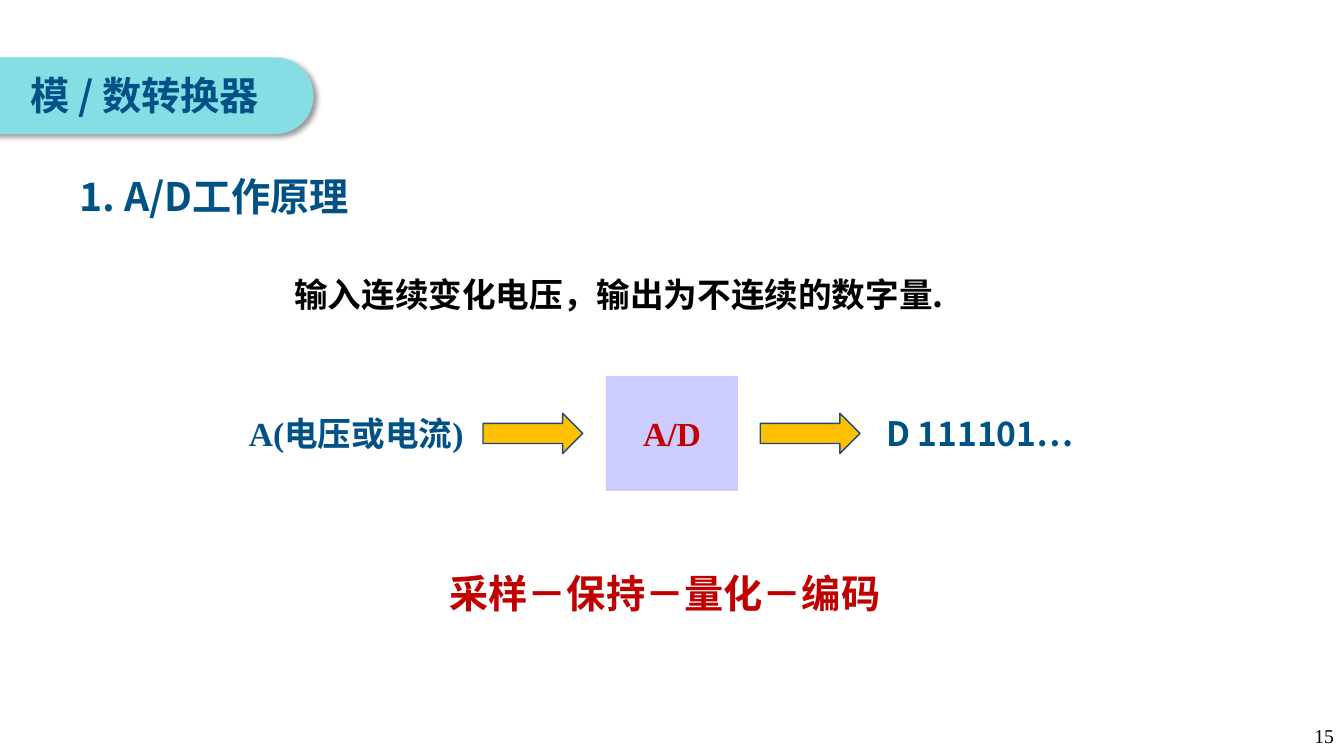
import pptx
import pptx.dml.color
import pptx.enum.shapes
import pptx.enum.text
import pptx.oxml
import pptx.oxml.ns
import pptx.util

PX = 9144
SLIDE_SIZE = (1333, 750)

THEME = {
    "navy": "005286", "red": "C00000", "black": "000000",
    "lilac": "CCCCFF", "aqua": "86DEE5", "amber": "FFC000", "outline": "1F497D",
    "title": 28, "body": 24, "number": 14,
    "sans": "Noto Sans CJK SC", "serif": "Times New Roman",
}

TITLE = ("模 / 数转换器", (20, 66, 831, 57), "title", "sans", "navy")
TEXTS = [
    ("1. A/D工作原理", (69, 166, 742, 57), "title", "sans", "navy"),
    ("输入连续变化电压，输出为不连续的数字量.", (282, 267, 775, 100), "body", "sans", "black"),
    ("A(电压或电流)", (237, 405, 273, 50), "body", "serif", "navy"),
    ("D 111101…", (869, 405, 225, 51), "body", "sans", "navy"),
    ("采样－保持－量化－编码", (436, 560, 465, 57), "title", "sans", "red"),
]
CONVERTER = ("A/D", (601, 373, 131, 114), "body", "serif", "red")
PAGE_NUMBER = ("15", (1033, 710, 300, 40), "number", "serif", "black")
TITLE_BAR = (-38, 57, 349, 76)
ARROW_LEFTS = (479, 754)
ARROW_SIZE = (99, 40)

SHADOW = (
    '<a:effectLst xmlns:a="http://schemas.openxmlformats.org/drawingml/2006/main">'
    '<a:outerShdw blurRad="50800" dist="38100" dir="2700000" algn="tl" rotWithShape="0">'
    '<a:srgbClr val="000000"><a:alpha val="40000"/></a:srgbClr>'
    '</a:outerShdw></a:effectLst>'
)

ALIGN = pptx.enum.text.PP_ALIGN
ANCHOR = pptx.enum.text.MSO_ANCHOR
KIND = pptx.enum.shapes.MSO_SHAPE


def color(name):
    return pptx.dml.color.RGBColor.from_string(THEME[name])


def emu(box):
    return [pptx.util.Emu(length * PX) for length in box]


def write(shape, content, align=ALIGN.LEFT, anchor=ANCHOR.TOP, wrap=True):
    text, box, size, font, ink = content
    shape.left, shape.top, shape.width, shape.height = emu(box)
    frame = shape.text_frame
    frame.auto_size = pptx.enum.text.MSO_AUTO_SIZE.NONE
    frame.word_wrap = wrap
    frame.vertical_anchor = anchor
    paragraph = frame.paragraphs[0]
    paragraph.alignment = align
    paragraph.space_before = pptx.util.Pt(0)
    run = paragraph.add_run()
    run.text = text
    run.font.size = pptx.util.Pt(THEME[size])
    run.font.bold = size != "number"
    run.font.color.rgb = color(ink)
    run.font.name = THEME[font]
    east_asian = pptx.oxml.parse_xml(
        '<a:ea xmlns:a="http://schemas.openxmlformats.org/drawingml/2006/main"'
        f' typeface="{THEME["sans"]}"/>')
    run.font._element.find(pptx.oxml.ns.qn("a:latin")).addnext(east_asian)


def add_block(slide, kind, box, fill, line=None):
    shape = slide.shapes.add_shape(kind, *emu(box))
    shape.shadow.inherit = False
    shape.fill.solid()
    shape.fill.fore_color.rgb = color(fill)
    if line:
        shape.line.color.rgb = color(line)
        shape.line.width = pptx.util.Pt(1)
    else:
        shape.line.fill.background()
    return shape


def add_text(slide, content, **layout):
    write(slide.shapes.add_textbox(*emu(content[1])), content, **layout)


def main():
    presentation = pptx.Presentation()
    presentation.slide_width, presentation.slide_height = emu(SLIDE_SIZE)
    slide = presentation.slides.add_slide(presentation.slide_layouts[5])

    bar = add_block(slide, KIND.ROUNDED_RECTANGLE, TITLE_BAR, "aqua")
    bar.adjustments[0] = 0.5
    properties = bar._element.spPr
    properties.replace(properties.find(pptx.oxml.ns.qn("a:effectLst")),
                       pptx.oxml.parse_xml(SHADOW))
    title = slide.shapes.title
    bar._element.addnext(title._element)
    write(title, TITLE)

    for content in TEXTS:
        add_text(slide, content)

    converter = add_block(slide, KIND.RECTANGLE, CONVERTER[1], "lilac")
    write(converter, CONVERTER, align=ALIGN.CENTER, anchor=ANCHOR.MIDDLE, wrap=False)
    for left in ARROW_LEFTS:
        add_block(slide, KIND.RIGHT_ARROW, (left, 410, *ARROW_SIZE), "amber", "outline")

    add_text(slide, PAGE_NUMBER, align=ALIGN.RIGHT, anchor=ANCHOR.MIDDLE)
    presentation.save("out.pptx")


if __name__ == "__main__":
    main()
